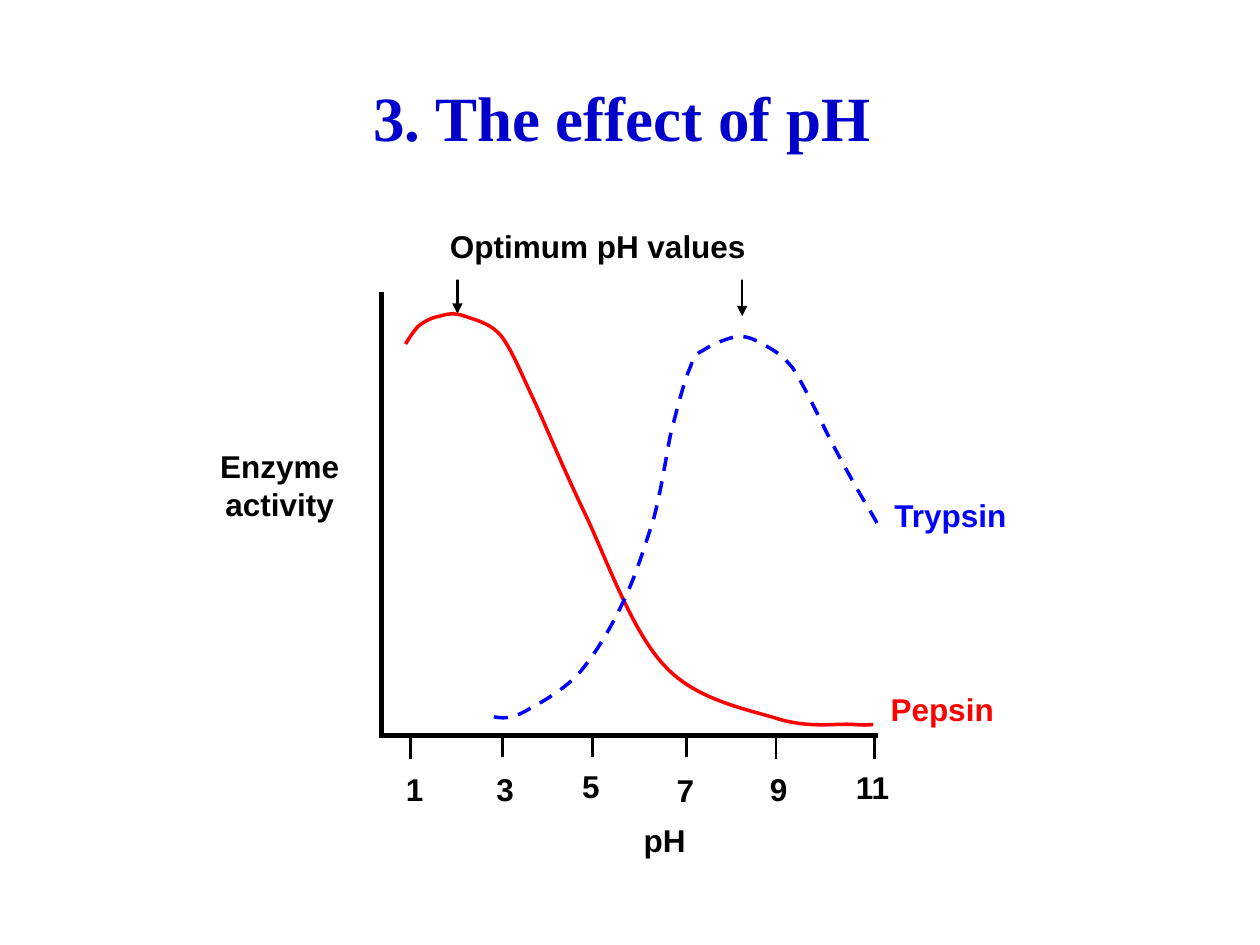
"""Builds a slide plotting pepsin and trypsin activity against pH."""
from dataclasses import dataclass

from lxml import etree
from pptx import Presentation
from pptx.dml.color import RGBColor as RGB
from pptx.enum.dml import MSO_LINE_DASH_STYLE as DASH
from pptx.enum.shapes import MSO_CONNECTOR as CONN
from pptx.enum.text import MSO_ANCHOR as ANCHOR, PP_ALIGN as ALIGN
from pptx.oxml.ns import qn
from pptx.util import Pt


@dataclass(frozen=True)
class Theme:
    ink: RGB = RGB(0, 0, 0)
    paper: RGB = RGB(255, 255, 255)
    title: RGB = RGB(0, 0, 0xCC)
    trypsin: RGB = RGB(0, 0, 255)
    pepsin: RGB = RGB(255, 0, 0)
    title_size: int = 36
    label_size: int = 18


T = Theme()
PEPSIN = [
    (231.8, 196.6),
    (232.6, 195.1), (236.2, 189.4), (239, 186.5),
    (242.6, 183.6), (247, 181.4), (251.3, 180.7),
    (255.6, 179.3), (259.9, 178.6), (265.7, 180.7),
    (271.4, 182.9), (280.1, 184.3), (286.6, 192.2),
    (293, 200.9), (297.4, 212.4), (305.3, 229),
    (313.2, 246.2), (322.6, 269.3), (334.8, 294.5),
    (347, 320.4), (361.4, 361.4), (380.2, 380.9),
    (398.2, 400.3), (427.7, 405.4), (445.7, 411.1),
    (463.7, 416.2), (478.1, 413.3), (487.4, 414),
    (496.1, 414.7), (496.1, 414), (499, 414),
]
TRYPSIN = [
    (282.2, 409.7),
    (286.6, 410.4), (291.6, 411.1), (299.5, 406.8),
    (307.4, 402.5), (321.1, 395.3), (330.5, 385.2),
    (339.8, 374.4), (348.5, 360), (355.7, 344.9),
    (362.9, 330.5), (368.6, 311.8), (373.7, 295.9),
    (378, 279.4), (380.2, 263.5), (383, 249.1),
    (386.6, 234.7), (391, 217.4), (394.6, 209.5),
    (397.4, 200.9), (398.9, 202.3), (403.2, 199.4),
    (407.5, 196.6), (416.2, 193), (421.9, 192.2),
    (427.7, 192.2), (432, 194.4), (437, 197.3),
    (442.1, 200.2), (446.4, 202.3), (452.9, 210.2),
    (458.6, 218.9), (466.6, 235.4), (472.3, 247),
    (478.1, 258.5), (483.8, 268.6), (488.9, 277.9),
    (493.9, 286.6), (499.7, 295.9), (501.8, 300.2),
]

prs = Presentation()
prs.slide_width, prs.slide_height = Pt(720), Pt(540)
s = prs.slides.add_slide(prs.slide_layouts[6])


def add_text(text, x, y, w, h, color=T.ink, align=ALIGN.CENTER,
             size=T.label_size, font="Arial"):
    sp = s.shapes.add_textbox(Pt(x), Pt(y), Pt(w), Pt(h))
    tf = sp.text_frame
    tf.word_wrap = True
    p = tf.paragraphs[0]
    p.text, p.alignment = text, align
    p.font.name, p.font.size, p.font.bold = font, Pt(size), True
    p.font.color.rgb = color
    return sp


def add_line(x1, y1, x2, y2, width=1.5, arrow=False):
    c = s.shapes.add_connector(CONN.STRAIGHT, Pt(x1), Pt(y1), Pt(x2), Pt(y2))
    c.line.color.rgb, c.line.width = T.ink, Pt(width)
    if arrow:
        etree.SubElement(c.line._get_or_add_ln(), qn("a:tailEnd"), type="triangle")
    etree.SubElement(c._element.spPr, qn("a:effectLst"))


title = add_text("3. The effect of pH ", 36, 21.6, 648, 90, T.title,
                 size=T.title_size, font="Times New Roman")
title.text_frame.vertical_anchor = ANCHOR.MIDDLE

add_line(261.4, 131, 261.4, 179.3, arrow=True)
add_line(424.1, 131.8, 424.1, 180.7, arrow=True)
optimum = add_text("Optimum pH values", 247.7, 126, 187.9, 33.8)
optimum.fill.solid()
optimum.fill.fore_color.rgb = T.paper

add_line(218.2, 167, 218.2, 421.9, width=3)
add_line(501.8, 420.5, 218.9, 420.5, width=3)

for label, tick_x, tick_y, mid_x, top in [
    ("1", 234.7, 420.5, 236.9, 436.3),
    ("3", 287.3, 419.8, 288.7, 436.3),
    ("5", 338.4, 419.8, 337.7, 434.9),
    ("7", 392.4, 419.8, 391.7, 437),
    ("9", 443.5, 420.5, 445, 436.3),
    ("11", 499.7, 420.5, 498.6, 435.6),
]:
    add_line(tick_x, tick_y, tick_x, tick_y + 13)
    w = 10 + 20 * len(label)
    add_text(label, mid_x - w / 2, top, w, 28.8)

for points, color, dash in [(PEPSIN, T.pepsin, None), (TRYPSIN, T.trypsin, DASH.DASH)]:
    start, *rest = [(Pt(x), Pt(y)) for x, y in points]
    builder = s.shapes.build_freeform(*start)
    builder.add_line_segments(rest, close=False)
    sp = builder.convert_to_shape()
    sp.shadow.inherit = False
    sp.fill.background()
    sp.line.color.rgb, sp.line.width = color, Pt(2)
    if dash:
        sp.line.dash_style = dash
    outline = next(sp._element.iter(qn("a:path")))
    segments = outline.findall(qn("a:lnTo"))
    for i in range(0, len(segments), 3):
        curve = etree.SubElement(outline, qn("a:cubicBezTo"))
        for segment in segments[i:i + 3]:
            curve.append(segment[0])
            outline.remove(segment)

add_text("Enzyme activity", 115.9, 252, 87.8, 55.4)
add_text("Trypsin", 504, 280.1, 83.5, 34.6, T.trypsin, ALIGN.LEFT)
add_text("Pepsin", 501.8, 391, 82.8, 28.8, T.pepsin, ALIGN.LEFT)
add_text("pH", 342.7, 465.8, 74.2, 24.5)

prs.save("out.pptx")
